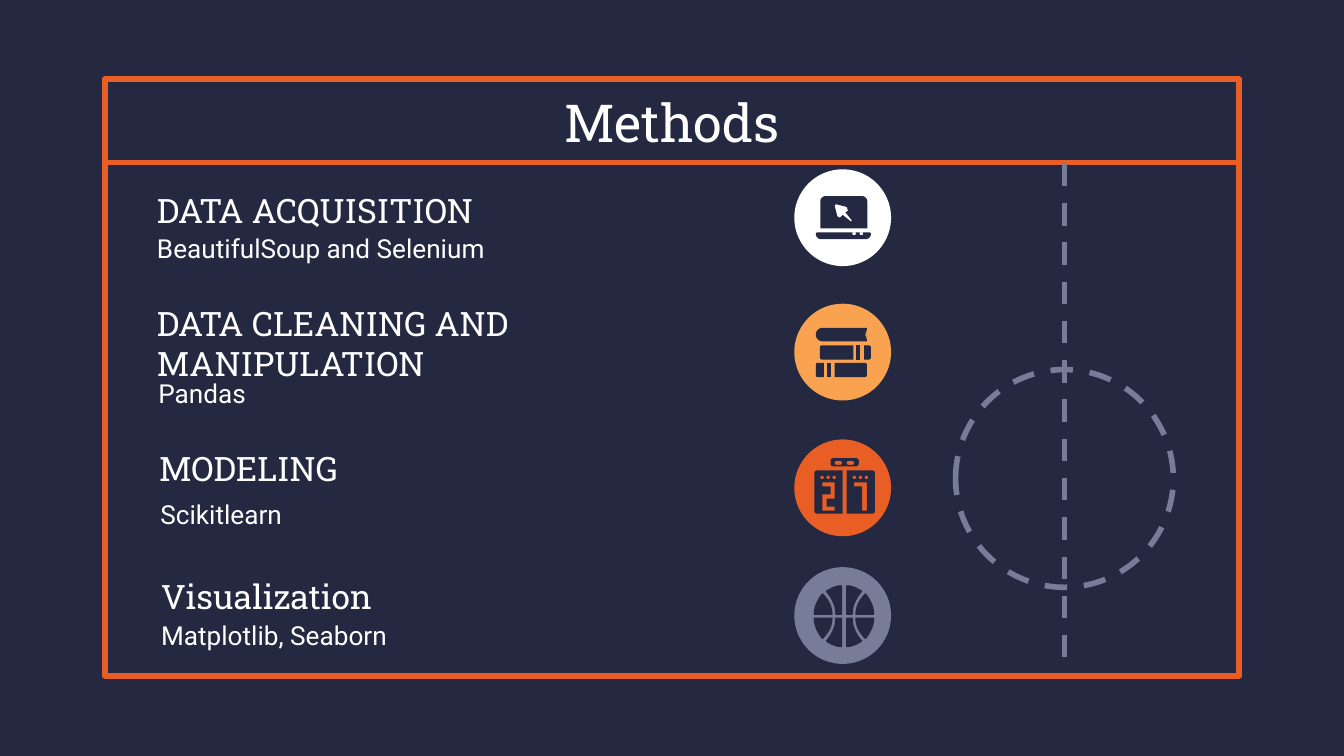
from dataclasses import dataclass
from math import cos, pi, sin

from lxml import etree
from pptx import Presentation
from pptx.dml.color import RGBColor
from pptx.enum.dml import MSO_LINE
from pptx.enum.shapes import MSO_CONNECTOR, MSO_SHAPE
from pptx.enum.text import MSO_ANCHOR, PP_ALIGN
from pptx.oxml.ns import qn
from pptx.util import Inches, Pt

RECTANGLE, OVAL = MSO_SHAPE.RECTANGLE, MSO_SHAPE.OVAL
STRAIGHT, DASH = MSO_CONNECTOR.STRAIGHT, MSO_LINE.DASH
MIDDLE = MSO_ANCHOR.MIDDLE
LEFT, CENTER = PP_ALIGN.LEFT, PP_ALIGN.CENTER

NAVY, ORANGE, AMBER, GREY, WHITE = "242841", "E95E24", "F9A350", "777D99", "FFFFFF"
SLAB, SANS = "Roboto Slab", "Roboto"

SLIDE_WIDTH, SLIDE_HEIGHT = Inches(10), Inches(5.625)
UNIT = SLIDE_WIDTH / 1000  # the grid has 1000 columns; rows are as high as columns are wide
BADGE_LEFT, BADGE_SIZE = 591, 72

Point = tuple[float, float]
Outline = list[Point]
Piece = list[Outline]  # a body followed by its holes, in grid units from the badge corner


@dataclass
class Step:
    heading: str
    detail: str
    left: float
    heading_top: float
    detail_left: float
    detail_top: float
    badge_top: float
    badge_color: str
    icon: list[Piece]
    icon_line: float = 0


def grid(value: float) -> int:
    return round(value * UNIT)


def color(value: str) -> RGBColor:
    return RGBColor.from_string(value)


def box(left: float, top: float, right: float, bottom: float,
        radii: tuple[float, float, float, float] = (0, 0, 0, 0)) -> Outline:
    """Rectangle outline; radii run clockwise from the top left corner."""
    corners = [(left, top, 1, 1), (right, top, -1, 1), (right, bottom, -1, -1), (left, bottom, 1, -1)]
    points = []
    for index, ((x, y, inward_x, inward_y), radius) in enumerate(zip(corners, radii)):
        for step in range(9 if radius else 1):
            angle = pi + (index + step / 8) * pi / 2
            points.append((x + radius * (inward_x + cos(angle)), y + radius * (inward_y + sin(angle))))
    return points


def curve(start: Point, first: Point, second: Point, end: Point) -> Outline:
    """Points along a cubic curve."""
    weights = [((1 - t) ** 3, 3 * t * (1 - t) ** 2, 3 * t * t * (1 - t), t ** 3)
               for t in (step / 12 for step in range(13))]
    return [tuple(sum(weight * point[axis] for weight, point in zip(row, (start, first, second, end)))
                  for axis in (0, 1)) for row in weights]


def laptop() -> list[Piece]:
    cursor = [(30, 27), (31, 26), (39, 28), (40, 31), (38, 32), (42, 37), (43, 38),
              (42, 39), (41, 38), (36, 34), (34, 36), (32, 35)]
    notches = [box(x, 47, x + 2.6, 49, (0, 0, 1, 1)) for x in (43.2, 48.6)]
    return [[box(16, 47, 57, 52, (1, 1, 4, 4)), *notches],
            [box(19.3, 20, 54.3, 44, (4, 4, 0, 0)), cursor]]


def books() -> list[Piece]:
    page_edge = [(54, 18.5), (52.8, 23), (54, 27.5)]
    left_round, right_round = (1.5, 0, 0, 1.5), (0, 1.5, 1.5, 0)
    return [[box(16, 18, 54, 28, (5, 0, 0, 5)), page_edge],
            [box(19, 31, 44, 41.5, left_round)], [box(46, 31, 49, 41.5)],
            [box(52, 31, 57, 41.5, right_round)],
            [box(16, 44, 22, 54.7, left_round)], [box(24, 44, 27, 54.7)],
            [box(30, 44, 54, 54.7, right_round)]]


def scoreboard() -> list[Piece]:
    two = [(21, 32), (30, 32), (30, 44), (24, 44), (24, 50), (30, 50),
           (30, 53), (21, 53), (21, 41), (27, 41), (27, 35), (21, 35)]
    seven = [(44.5, 32), (54, 32), (54, 53), (50.5, 53), (50.5, 35), (44.5, 35)]
    lamps = [box(x, 16, x + 5.5, 19, (1.5,) * 4) for x in (30, 39)]
    pieces = [[box(27, 14, 48, 20, (2,) * 4), *lamps]]
    for left, radii, digit in ((15, (2, 0, 0, 2), two), (39, (0, 2, 2, 0), seven)):
        dots = [box(left + x, 27, left + x + 2.6, 29.6, (1.3,) * 4) for x in (4.4, 8.9, 13.4)]
        pieces.append([box(left, 23, left + 21, 55.3, radii), *dots, digit])
    return pieces


def ball() -> list[Piece]:
    """Two panels mirrored into the four quarters."""
    inner = [*curve((35, 14), (31, 14), (27, 16), (24, 18)),
             *curve((24, 18), (28, 23), (31, 28), (31, 35)), (35, 35)]
    outer = [*curve((21, 20), (18, 24), (15, 29), (15, 35)),
             *curve((28, 35), (28, 29), (25, 24), (21, 20))]
    return [[[(74 - x if mirror_x else x, 73 - y if mirror_y else y) for x, y in outline]]
            for outline in (inner, outer) for mirror_x in (False, True) for mirror_y in (False, True)]


STEPS = [
    Step("DATA ACQUISITION", "BeautifulSoup and Selenium", 107, 133, 107, 153, 126, WHITE, laptop()),
    Step("DATA CLEANING AND MANIPULATION", "Pandas", 107, 232, 108, 261, 226, AMBER, books()),
    Step("MODELING", "Scikitlearn", 108.5, 325, 109.5, 351, 327, ORANGE, scoreboard()),
    Step("Visualization", "Matplotlib, Seaborn", 110, 420, 110, 441, 422, GREY, ball(), 0.75),
]


def paint(shape, fill: str = "", line: str = "", weight: float = 0, dash=None) -> None:
    shape.shadow.inherit = False
    if fill:
        shape.fill.solid()
        shape.fill.fore_color.rgb = color(fill)
    else:
        shape.fill.background()
    if line:
        draw_line(shape, line, weight, dash)
    else:
        shape.line.fill.background()


def draw_line(shape, line: str, weight: float, dash=None) -> None:
    shape.line.color.rgb = color(line)
    shape.line.width = Pt(weight)
    if dash:
        shape.line.dash_style = dash


def add_preset(slide, kind, left: float, top: float, width: float, height: float, **look) -> None:
    shape = slide.shapes.add_shape(kind, *map(grid, (left, top, width, height)))
    paint(shape, **look)


def add_line(slide, start: Point, end: Point, line: str, dash=None) -> None:
    connector = slide.shapes.add_connector(STRAIGHT, *map(grid, (*start, *end)))
    draw_line(connector, line, 3, dash)
    etree.SubElement(connector._element.spPr, qn("a:effectLst"))


def add_piece(slide, piece: Piece, top: float, weight: float) -> None:
    outlines = [[(grid(BADGE_LEFT + x), grid(top + y)) for x, y in outline] for outline in piece]
    builder = slide.shapes.build_freeform(*outlines[0][0])
    builder.add_line_segments(outlines[0][1:])
    for hole in outlines[1:]:
        builder.move_to(*hole[0])
        builder.add_line_segments(hole[1:])
    paint(builder.convert_to_shape(), NAVY, NAVY if weight else "", weight)


def add_text(slide, text: str, left: float, top: float, width: float, height: float,
             font: str, size: float, align=LEFT, space_after: float = 0) -> None:
    frame = slide.shapes.add_textbox(*map(grid, (left, top, width, height))).text_frame
    frame_format = {"word_wrap": True, "vertical_anchor": MIDDLE}
    frame_format |= {f"margin_{side}": grid(10) for side in ("left", "top", "right", "bottom")}
    paragraph = frame.paragraphs[0]
    run = paragraph.add_run()
    run.text = text
    for target, values in (
        (frame, frame_format),
        (paragraph, {"alignment": align, "space_after": Pt(space_after)}),
        (run.font, {"name": font, "size": Pt(size)}),
    ):
        for name, value in values.items():
            setattr(target, name, value)
    run.font.color.rgb = color(WHITE)


def add_step(slide, step: Step) -> None:
    add_text(slide, step.detail, step.detail_left, step.detail_top, 366, 63, SANS, 14)
    add_text(slide, step.heading, step.left, step.heading_top, 366, 47, SLAB, 18, space_after=12)
    add_preset(slide, OVAL, BADGE_LEFT, step.badge_top, BADGE_SIZE, BADGE_SIZE, fill=step.badge_color)
    for piece in step.icon:
        add_piece(slide, piece, step.badge_top, step.icon_line)


def main() -> None:
    presentation = Presentation()
    presentation.slide_width, presentation.slide_height = SLIDE_WIDTH, SLIDE_HEIGHT
    slide = presentation.slides.add_slide(presentation.slide_layouts[6])
    slide.background.fill.solid()
    slide.background.fill.fore_color.rgb = color(NAVY)

    add_preset(slide, RECTANGLE, 78, 59, 844, 444, line=ORANGE, weight=3)
    add_line(slide, (80, 121), (920, 121), ORANGE)
    add_text(slide, "Methods", 78, 59, 844, 63, SLAB, 28, CENTER)
    add_line(slide, (792, 122), (792, 501), GREY, DASH)
    add_preset(slide, OVAL, 711, 275, 162, 162, line=GREY, weight=3, dash=DASH)
    for step in STEPS:
        add_step(slide, step)
    presentation.save("out.pptx")


if __name__ == "__main__":
    main()
